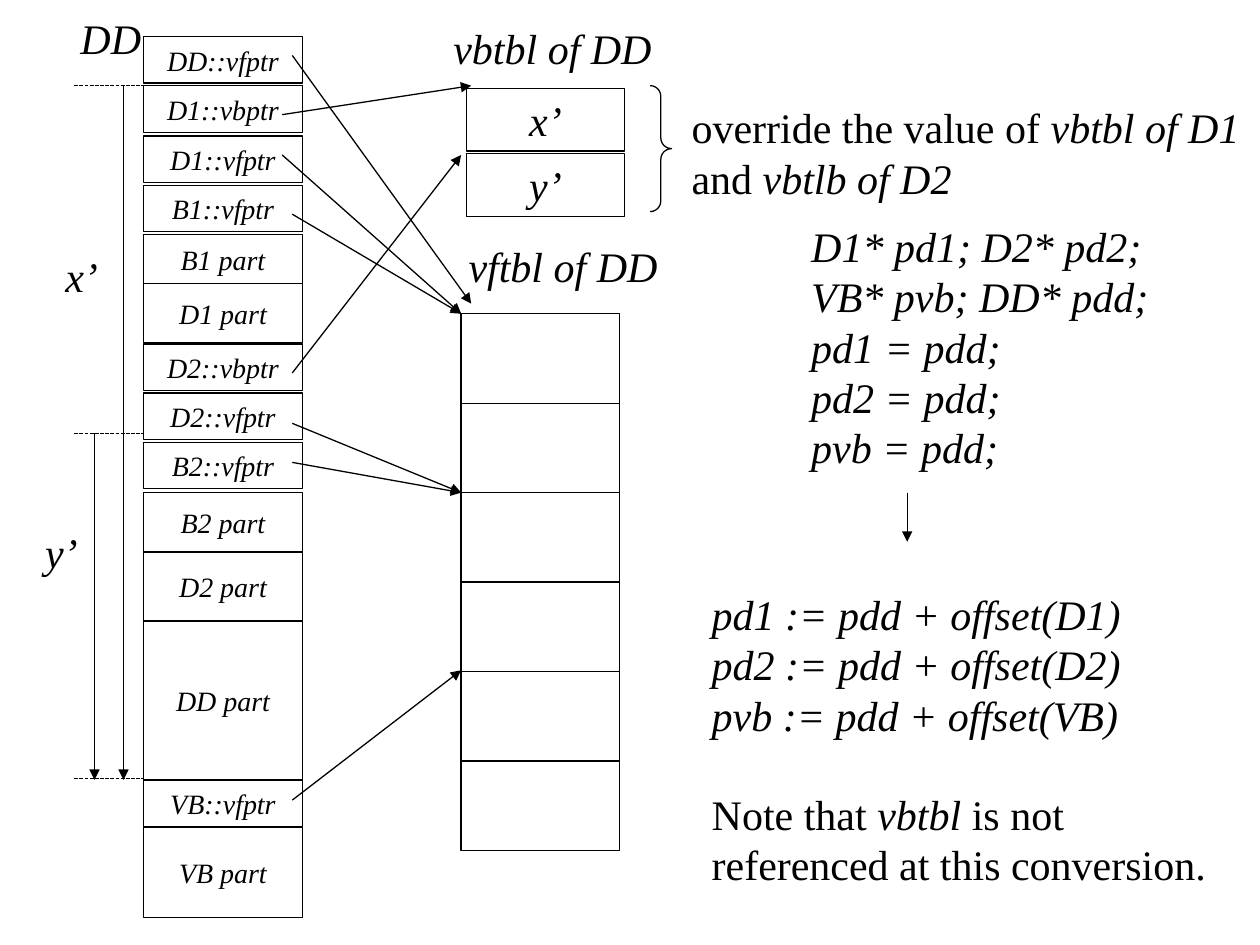
from lxml import etree
from pptx import Presentation
from pptx.dml.color import RGBColor
from pptx.enum.dml import MSO_LINE
from pptx.enum.shapes import MSO_CONNECTOR, MSO_SHAPE
from pptx.enum.text import MSO_ANCHOR, MSO_AUTO_SIZE, PP_ALIGN
from pptx.oxml.ns import qn
from pptx.util import Inches, Pt

RECT, BRACE = MSO_SHAPE.RECTANGLE, MSO_SHAPE.RIGHT_BRACE
STRAIGHT = MSO_CONNECTOR.STRAIGHT
DOTTED = MSO_LINE.SQUARE_DOT
MIDDLE, CENTER = MSO_ANCHOR.MIDDLE, PP_ALIGN.CENTER
FIT_SHAPE = MSO_AUTO_SIZE.SHAPE_TO_FIT_TEXT

COLORS = {"ink": "000000"}
FONT = "Times New Roman"
LABEL_SIZE, TEXT_SIZE = 16, 24
BLANK_LINE = 28  # points
CELL_W = 1.26

# Object layout: label, top, height
LAYOUT_X = 1.14
LAYOUT = [
    ("DD::vfptr", 0.29, 0.37), ("D1::vbptr", 0.68, 0.37),
    ("D1::vfptr", 1.08, 0.37), ("B1::vfptr", 1.47, 0.37),
    ("B1 part", 1.86, 0.39), ("D1 part", 2.25, 0.47),
    ("D2::vbptr", 2.73, 0.37), ("D2::vfptr", 3.12, 0.37),
    ("B2::vfptr", 3.51, 0.37), ("B2 part", 3.91, 0.47),
    ("D2 part", 4.38, 0.55), ("DD part", 4.93, 1.26),
    ("VB::vfptr", 6.19, 0.37), ("VB part", 6.57, 0.71),
]

# Tables the pointers refer to
VBTBL_X, VBTBL_Y, VBTBL_STEP, VBTBL_H = 3.7, 0.7, 0.52, 0.5
VBTBL = ["x’", "y’"]
VFTBL_X, VFTBL_Y, VFTBL_H, VFTBL_ROWS = 3.66, 2.49, 0.71, 6

# Text boxes: left, top, width, height, paragraphs; a paragraph is a list of
# (text, italic) runs, and None marks a blank line's worth of space
TEXTS = [
    (0.54, 0.05, 0.68, 0.5, [[("DD", True)]]),
    (0.42, 1.94, 0.46, 0.5, [[("x’", True)]]),
    (0.26, 4.13, 0.46, 0.5, [[("y’", True)]]),
    (3.5, 0.13, 1.8, 0.5, [[("vbtbl of DD", True)]]),
    (3.62, 1.86, 1.72, 0.5, [[("vftbl of DD", True)]]),
    (5.39, 0.76, 4.57, 0.9, [
        [("override the value of ", False), ("vbtbl of D1", True)],
        [("and ", False), ("vbtlb of D2", True)],
    ]),
    (6.34, 1.7, 2.9, 2.1, [
        [("D1* pd1; D2* pd2;", True)],
        [("VB* pvb; DD* pdd;", True)],
        [("pd1 = pdd;", True)],
        [("pd2 = pdd;", True)],
        [("pvb = pdd;", True)],
    ]),
    (5.55, 4.62, 4.15, 2.5, [
        [("pd1 := pdd + offset(D1)", True)],
        [("pd2 := pdd + offset(D2)", True)],
        [("pvb := pdd + offset(VB)", True)],
        None,
        [("Note that ", False), ("vbtbl", True), (" is not", False)],
        [("referenced at this conversion.", False)],
    ]),
]

# Lines: x1, y1, x2, y2
ARROWS = [
    (2.32, 0.44, 3.74, 2.41), (2.24, 0.91, 3.74, 0.68),
    (2.24, 1.23, 3.66, 2.49), (2.32, 1.7, 3.66, 2.49),
    (2.32, 2.96, 3.66, 1.23), (2.32, 3.36, 3.66, 3.91),
    (2.32, 3.67, 3.66, 3.91), (2.32, 6.35, 3.66, 5.32),
    (0.98, 0.68, 0.98, 6.19), (0.75, 3.44, 0.75, 6.19),  # offsets x’ and y’
    (7.2, 3.91, 7.2, 4.3),  # code to its translation
]
OFFSET_MARKS = [0.68, 3.44, 6.18]

prs = Presentation()
prs.slide_width, prs.slide_height = Inches(10), Inches(7.5)
s = prs.slides.add_slide(prs.slide_layouts[6])
INK = RGBColor.from_string(COLORS["ink"])


def set_font(font, size, italic=None):
    font.name, font.size, font.italic = FONT, Pt(size), italic
    font.color.rgb = INK


def add_outline(kind, x, y, w, h):
    sp = s.shapes.add_shape(kind, Inches(x), Inches(y), Inches(w), Inches(h))
    sp.shadow.inherit = False
    sp.fill.background()
    sp.line.color.rgb, sp.line.width = INK, Pt(0.75)
    return sp


def add_cell(x, y, h, label=None, size=LABEL_SIZE):
    sp = add_outline(RECT, x, y, CELL_W, h)
    if label:
        tf = sp.text_frame
        tf.vertical_anchor = MIDDLE
        p = tf.paragraphs[0]
        p.text, p.alignment = label, CENTER
        set_font(p.font, size, True)


def add_line(x1, y1, x2, y2, arrow=False):
    cn = s.shapes.add_connector(STRAIGHT, Inches(x1), Inches(y1), Inches(x2), Inches(y2))
    cn.line.color.rgb, cn.line.width = INK, Pt(0.75)
    if arrow:
        etree.SubElement(cn.line._get_or_add_ln(), qn("a:tailEnd"), type="triangle")
    else:
        cn.line.dash_style = DOTTED
    etree.SubElement(cn._element.spPr, qn("a:effectLst"))


def add_text(x, y, w, h, paragraphs):
    tf = s.shapes.add_textbox(Inches(x), Inches(y), Inches(w), Inches(h)).text_frame
    tf.word_wrap, tf.auto_size = False, FIT_SHAPE
    p, gap = tf.paragraphs[0], False
    for i, runs in enumerate(paragraphs):
        if runs is None:
            gap = True
            continue
        if i:
            p = tf.add_paragraph()
        if gap:
            p.space_before, gap = Pt(BLANK_LINE), False
        set_font(p.font, TEXT_SIZE)
        for text, italic in runs:
            r = p.add_run()
            r.text, r.font.italic = text, italic


# Object layout and tables
for label, top, height in LAYOUT:
    add_cell(LAYOUT_X, top, height, label)
for i, label in enumerate(VBTBL):
    add_cell(VBTBL_X, VBTBL_Y + i * VBTBL_STEP, VBTBL_H, label, TEXT_SIZE)
for i in range(VFTBL_ROWS):
    add_cell(VFTBL_X, VFTBL_Y + i * VFTBL_H, VFTBL_H)

# Brace beside the vbtbl
brace = add_outline(BRACE, 5.16, 0.68, 0.17, 1)
brace.adjustments[0] = 0.5

# Offset marks, arrows and text
for y in OFFSET_MARKS:
    add_line(0.59, y, LAYOUT_X, y)
for ends in ARROWS:
    add_line(*ends, arrow=True)
for box in TEXTS:
    add_text(*box)

prs.save("out.pptx")
